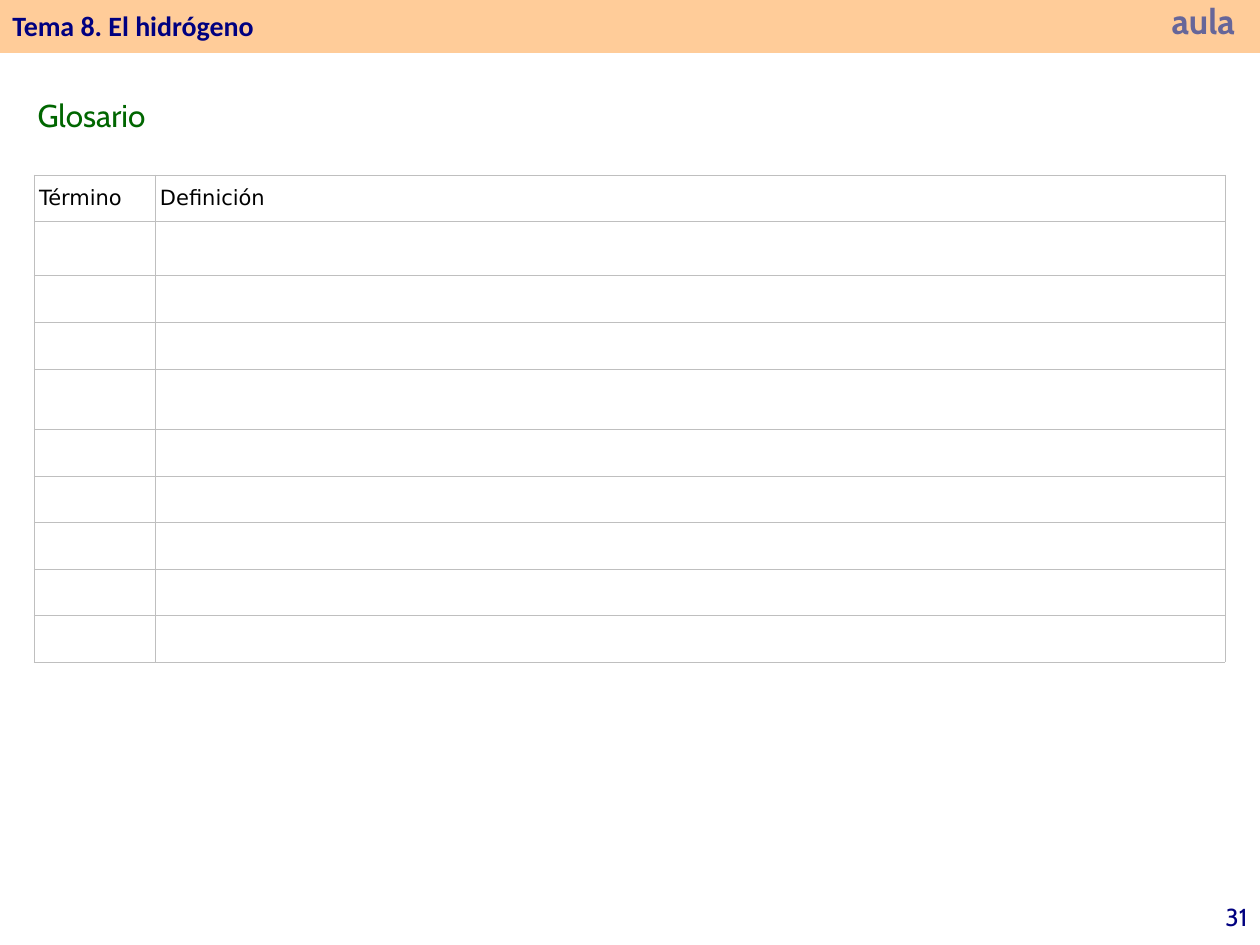
from lxml.etree import SubElement
from pptx import Presentation
from pptx.dml.color import RGBColor
from pptx.enum.shapes import MSO_SHAPE
from pptx.enum.text import MSO_ANCHOR, MSO_AUTO_SIZE, PP_ALIGN
from pptx.oxml import parse_xml
from pptx.oxml.ns import nsdecls, qn
from pptx.util import Inches, Pt

W, H = 10, 7.5
NAVY = "000080"
HEADINGS = ["Término", "Definición"]
COL_WIDTHS = [0.96, 8.49]
ROW_COUNT, ROW_HEIGHT = 10, 0.37
TALL_ROWS = {1: 0.43, 4: 0.48}


def color(hex_string):
    return RGBColor.from_string(hex_string)


def box(x, y, w, h):
    return Inches(x * W), Inches(y * H), Inches(w * W), Inches(h * H)


def add_run(p, text, size, font, hex_string, bold=False):
    r = p.add_run()
    r.text = text
    r.font.size = Pt(size)
    r.font.name = font
    r.font.bold = bold
    r.font.color.rgb = color(hex_string)
    return r


def add_band(s, place, hex_string):
    sp = s.shapes.add_shape(MSO_SHAPE.RECTANGLE, *box(*place))
    sp.shadow.inherit = False
    sp.fill.solid()
    sp.fill.fore_color.rgb = color(hex_string)
    sp.line.fill.background()


def add_label(s, place, text, size, font, hex_string, bold=False,
              align=PP_ALIGN.LEFT, anchor=MSO_ANCHOR.TOP, grow=False, inset=True):
    tf = s.shapes.add_textbox(*box(*place)).text_frame
    tf.word_wrap = True
    tf.vertical_anchor = anchor
    if grow:
        tf.auto_size = MSO_AUTO_SIZE.SHAPE_TO_FIT_TEXT
    if not inset:
        tf.margin_left = tf.margin_right = tf.margin_top = tf.margin_bottom = 0
    p = tf.paragraphs[0]
    p.alignment = align
    return add_run(p, text, size, font, hex_string, bold)


def add_text_shadow(r):
    fill = r._r.get_or_add_rPr().find(qn("a:solidFill"))
    fill.addnext(parse_xml(
        f'<a:effectLst {nsdecls("a")}><a:outerShdw dist="17961" dir="2700000">'
        '<a:srgbClr val="000000"/></a:outerShdw></a:effectLst>'))


def style_cell(cell):
    cell.margin_left = cell.margin_right = Inches(0.04)
    cell.margin_top = cell.margin_bottom = Inches(0.02)
    cell.vertical_anchor = MSO_ANCHOR.MIDDLE
    tc_pr = cell._tc.get_or_add_tcPr()
    for side in ("a:lnL", "a:lnR", "a:lnT", "a:lnB"):
        ln = SubElement(tc_pr, qn(side), w=str(Pt(0.25)))
        fill = SubElement(ln, qn("a:solidFill"))
        SubElement(fill, qn("a:srgbClr"), val="BFBFBF")
    cell.fill.background()


def add_heading(cell, text):
    p = cell.text_frame.paragraphs[0]
    p.space_before = Pt(2.4)
    p_pr = p._p.get_or_add_pPr()
    p_pr.set("marL", str(Inches(0.42)))
    p_pr.set("indent", str(-Inches(0.42)))
    add_run(p, text, 12, "DejaVu Sans", "000000")


def add_glossary(s, x, y):
    heights = [TALL_ROWS.get(i, ROW_HEIGHT) for i in range(ROW_COUNT)]
    place = box(x, y, sum(COL_WIDTHS) / W, sum(heights) / H)
    table = s.shapes.add_table(ROW_COUNT, len(COL_WIDTHS), *place).table
    table.first_row = table.horz_banding = False
    for col, width in zip(table.columns, COL_WIDTHS):
        col.width = Inches(width)
    for row, height in zip(table.rows, heights):
        row.height = Inches(height)
    for cell in table.iter_cells():
        style_cell(cell)
    for cell, text in zip(table.rows[0].cells, HEADINGS):
        add_heading(cell, text)


def main():
    prs = Presentation()
    prs.slide_width, prs.slide_height = Inches(W), Inches(H)
    s = prs.slides.add_slide(prs.slide_layouts[6])
    add_band(s, (0, 0, 1, 0.056), "FFCC99")
    r = add_label(s, (0.91, 0, 0.09, 0.044), "aula", 20, "Cabin", "666699", bold=True,
                  align=PP_ALIGN.CENTER, grow=True, inset=False)
    add_text_shadow(r)
    add_label(s, (0.933, 0.941, 0.067, 0.059), "31", 14, "Cabin", NAVY,
              align=PP_ALIGN.RIGHT, anchor=MSO_ANCHOR.MIDDLE)
    add_label(s, (0.02, 0.095, 0.654, 0.053), "Glosario", 18, "Cabin", "006600", grow=True)
    add_glossary(s, 0.027, 0.185)
    add_label(s, (0, 0, 0.725, 0.053), "Tema 8. El hidrógeno", 16, "Calibri", NAVY,
              bold=True, anchor=MSO_ANCHOR.MIDDLE)
    prs.save("out.pptx")


if __name__ == "__main__":
    main()
